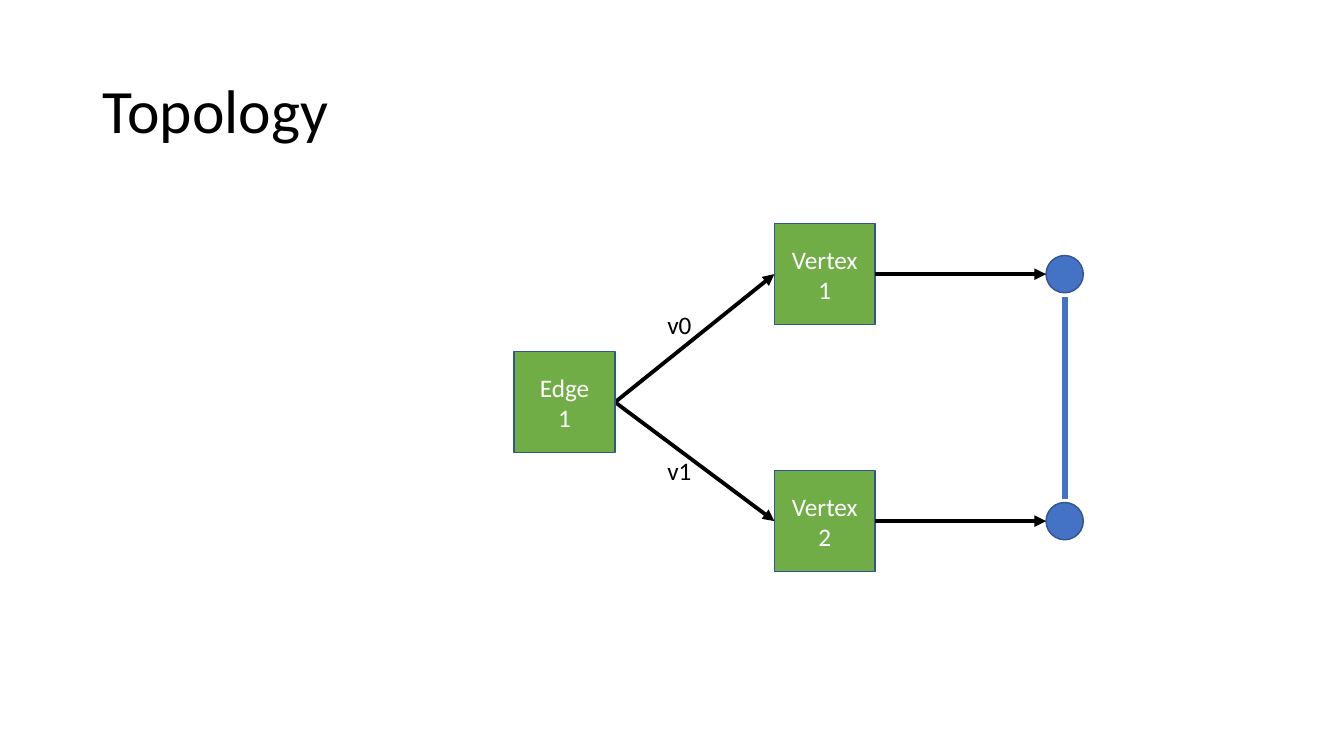
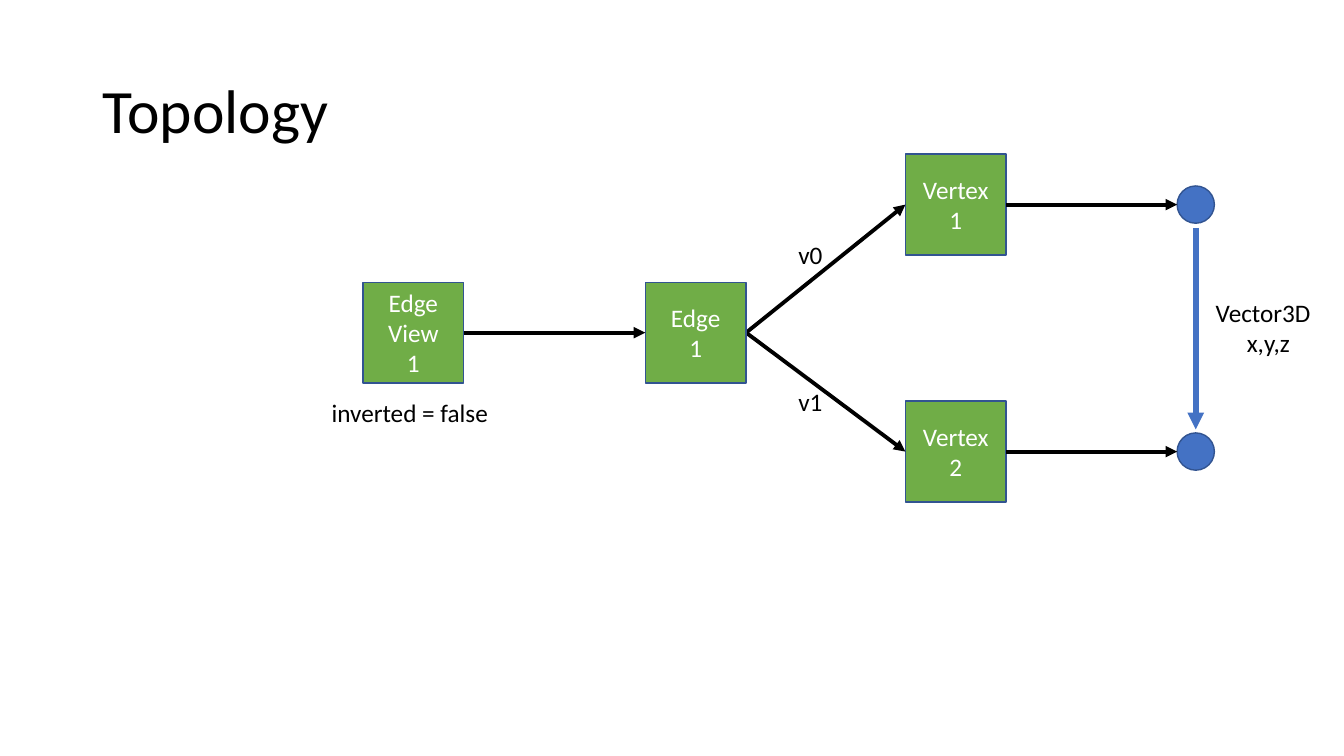
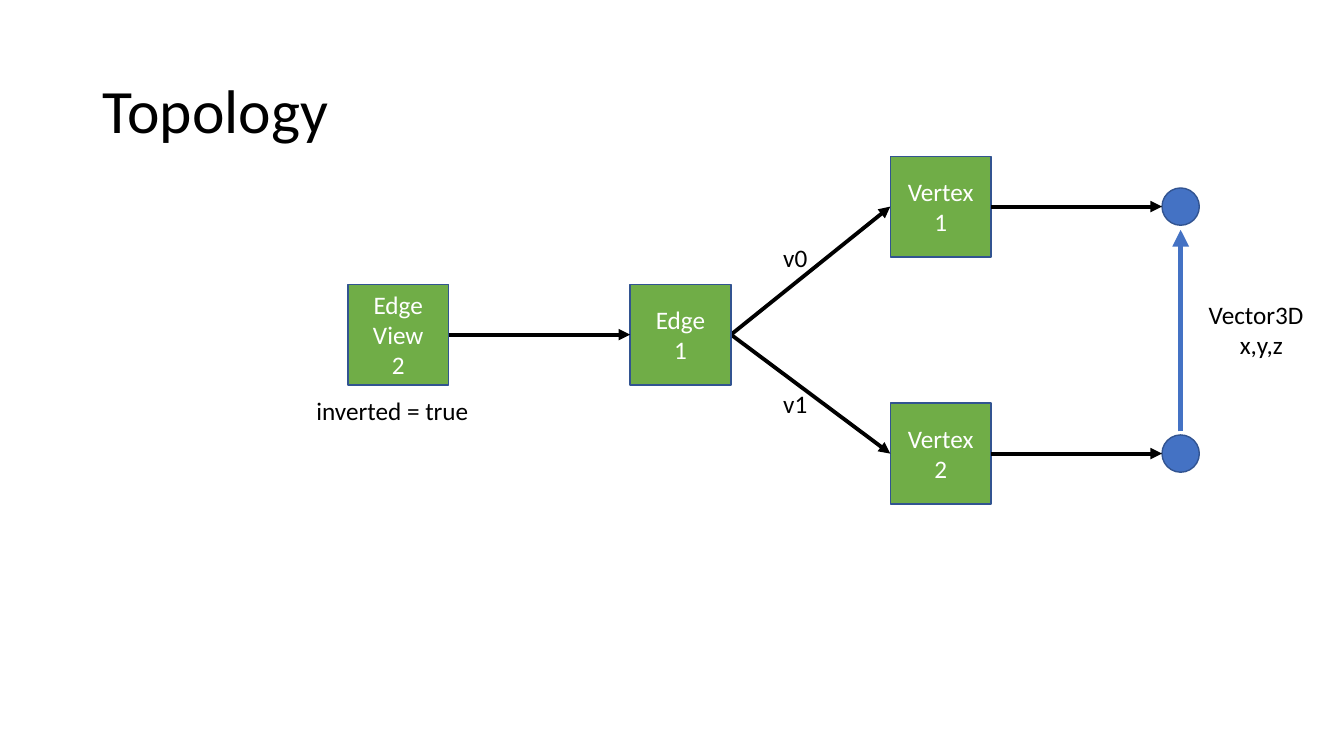
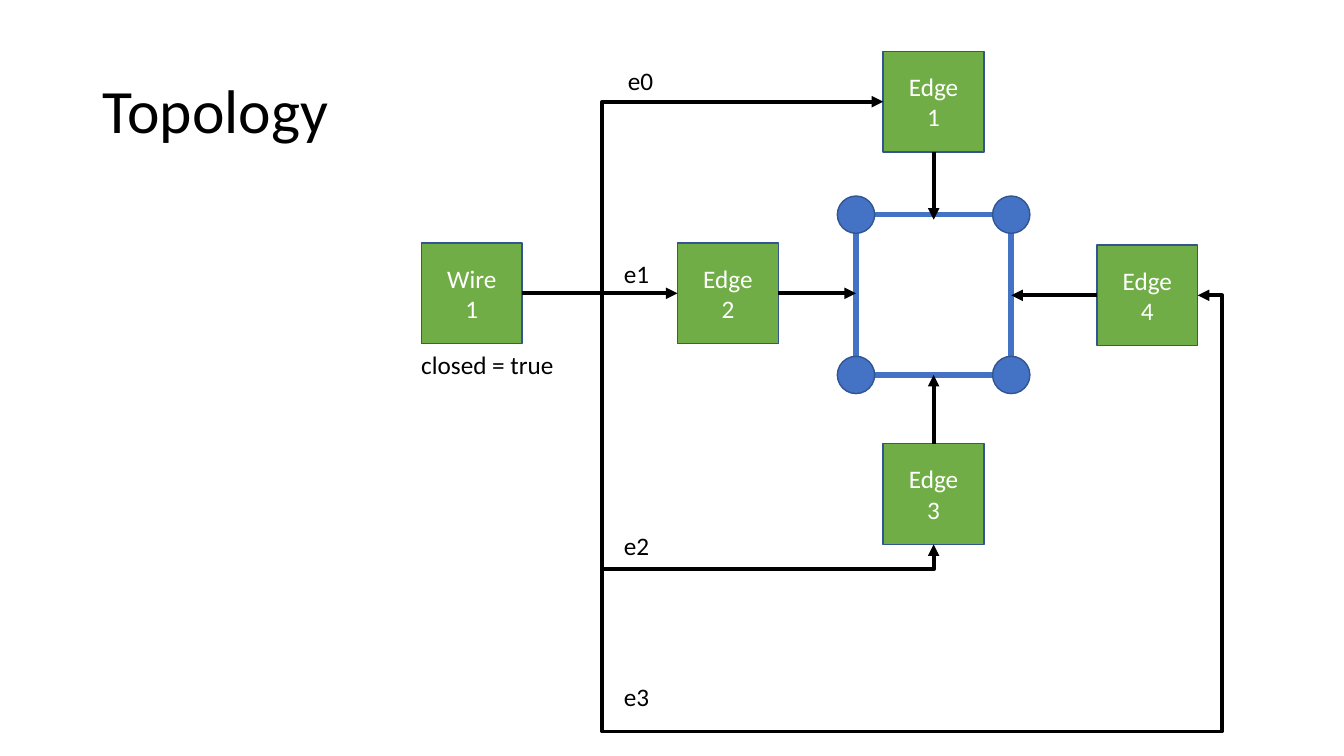
from lxml import etree
from pptx import Presentation
from pptx.dml.color import RGBColor
from pptx.enum.shapes import MSO_CONNECTOR, MSO_SHAPE
from pptx.enum.text import MSO_ANCHOR, PP_ALIGN
from pptx.oxml.ns import qn
from pptx.util import Inches, Pt

STRAIGHT, ELBOW = MSO_CONNECTOR.STRAIGHT, MSO_CONNECTOR.ELBOW
SQUARE, CIRCLE = MSO_SHAPE.RECTANGLE, MSO_SHAPE.OVAL
LEFT, CENTER = PP_ALIGN.LEFT, PP_ALIGN.CENTER
MIDDLE = MSO_ANCHOR.MIDDLE

BLACK = RGBColor(0x00, 0x00, 0x00)
WHITE = RGBColor(0xFF, 0xFF, 0xFF)
GREEN = RGBColor(0x70, 0xAD, 0x47)
BLUE = RGBColor(0x44, 0x72, 0xC4)
OUTLINE = RGBColor(0x32, 0x54, 0x91)
FONT = "Calibri"

# Lengths are in grid units: one node is one unit wide and high
NODE = 1
DOT = 0.37
LABEL_HEIGHT = 0.4
ARROW_WIDTH, EDGE_WIDTH = 2.75, 4
SITE_LEFT, SITE_BOTTOM, SITE_RIGHT = 1, 2, 3


def grid(*units):
    return [Inches(unit) for unit in units]


def style_paragraph(paragraph, size, color, align):
    paragraph.alignment = align
    paragraph.font.name = FONT
    paragraph.font.size = Pt(size)
    paragraph.font.color.rgb = color


# Shared parts
def add_titled_slide(prs, title):
    slide = prs.slides.add_slide(prs.slide_layouts[5])
    heading = slide.shapes.title
    heading.left, heading.top, heading.width, heading.height = grid(0.92, 0.4, 11.5, 1.45)
    heading.text_frame.text = title
    heading.text_frame.vertical_anchor = MIDDLE
    paragraph = heading.text_frame.paragraphs[0]
    style_paragraph(paragraph, 44, BLACK, LEFT)
    paragraph.line_spacing = 0.9
    return slide


def add_filled(slide, preset, x, y, size, color):
    shape = slide.shapes.add_shape(preset, *grid(x, y, size, size))
    shape.shadow.inherit = False
    shape.fill.solid()
    shape.fill.fore_color.rgb = color
    shape.line.color.rgb = OUTLINE
    shape.line.width = Pt(1)
    return shape


def add_node(slide, x, y, text):
    """Green square with one word to a line."""
    node = add_filled(slide, SQUARE, x, y, NODE, GREEN)
    frame = node.text_frame
    frame.text = "\n".join(text.split())
    frame.word_wrap = True
    frame.vertical_anchor = MIDDLE
    for paragraph in frame.paragraphs:
        style_paragraph(paragraph, 18, WHITE, CENTER)
    return node


def add_dot(slide, x, y):
    """Blue point centred on x, y."""
    add_filled(slide, CIRCLE, x - DOT / 2, y - DOT / 2, DOT, BLUE)


def add_label(slide, x, y, width, *lines):
    """Text whose first line is flush left and whose others are centred."""
    box = slide.shapes.add_textbox(*grid(x, y, width, LABEL_HEIGHT * len(lines)))
    frame = box.text_frame
    frame.word_wrap = True
    frame.text = "\n".join(lines)
    for index, paragraph in enumerate(frame.paragraphs):
        style_paragraph(paragraph, 18, BLACK, CENTER if index else LEFT)


def add_line(slide, start, end, color=BLACK, width=ARROW_WIDTH, arrow=True, kind=STRAIGHT):
    line = slide.shapes.add_connector(kind, *grid(*start, *end))
    line.line.color.rgb = color
    line.line.width = Pt(width)
    properties = line.element.spPr
    if arrow:
        etree.SubElement(properties.find(qn("a:ln")), qn("a:tailEnd"), type="triangle")
    etree.SubElement(properties, qn("a:effectLst"))
    return line


def add_bent_arrow(slide, source, target, site, start, end, turns):
    """Elbow arrow; turns holds the x, y, x... at which it bends."""
    arrow = add_line(slide, start, end, kind=ELBOW)
    arrow.begin_connect(source, SITE_RIGHT)
    arrow.end_connect(target, site)
    geometry = arrow.element.spPr.find(qn("a:prstGeom"))
    geometry.set("prst", f"bentConnector{len(turns) + 2}")
    guides = geometry.find(qn("a:avLst"))
    if guides is None:
        guides = etree.SubElement(geometry, qn("a:avLst"))
    for index, turn in enumerate(turns):
        axis = index % 2
        share = (turn - start[axis]) / (end[axis] - start[axis])
        etree.SubElement(guides, qn("a:gd"), name=f"adj{index + 1}",
                         fmla=f"val {round(share * 100000)}")


# Edge with two vertices and their points
def draw_edge(slide, x, y, direction=0):
    """Place the diagram from its edge node; direction is 1 down, -1 up, 0 none."""
    middle = y + NODE / 2
    vertex_x, dot_x = x + 2.58, x + 5.46
    for number, drop, label_drop in ((1, -1.27, -0.47), (2, 1.18, 0.98)):
        row = middle + drop
        add_node(slide, vertex_x, row - NODE / 2, f"Vertex {number}")
        add_dot(slide, dot_x, row)
        add_line(slide, (vertex_x + NODE, row), (dot_x - DOT / 2, row))
        add_line(slide, (x + NODE, middle), (vertex_x, row))
        add_label(slide, x + 1.42, y + label_drop, 0.46, f"v{number - 1}")
    add_node(slide, x, y, "Edge 1")
    ends = [(dot_x, y - 0.54), (dot_x, y + 1.46)]
    if direction < 0:
        ends.reverse()
    add_line(slide, *ends, BLUE, EDGE_WIDTH, arrow=direction != 0)


# Edge view, which adds a direction to an edge
def draw_edge_view(slide, x, y, number, inverted, caption_drop, vector_shift):
    edge_x, middle = x + 2.8, y + NODE / 2
    draw_edge(slide, edge_x, y, -1 if inverted else 1)
    add_node(slide, x, y, f"Edge View {number}")
    add_line(slide, (x + NODE, middle), (edge_x, middle))
    add_label(slide, x - 0.41, y + caption_drop, 2.24, f"inverted = {str(inverted).lower()}")
    add_label(slide, edge_x + vector_shift, y + 0.1, 1.24, "Vector3D", "x,y,z")


# Closed wire of four edges
def draw_wire(slide, x, y):
    """Place the diagram from its wire node."""
    middle, bus = y + NODE / 2, x + 1.79
    left, right, top, bottom = x + 4.31, x + 5.85, y - 0.28, y + 1.31
    center = (left + right) / 2
    edge_x = center - NODE / 2

    # Ring of points
    corners = [(left, top), (right, top), (right, bottom), (left, bottom)]
    for corner, following in zip(corners, corners[1:] + corners[:1]):
        add_line(slide, corner, following, BLUE, EDGE_WIDTH, arrow=False)
    for corner in corners:
        add_dot(slide, *corner)

    # Nodes
    wire = add_node(slide, x, y, "Wire 1")
    above = add_node(slide, edge_x, y - 1.9, "Edge 1")
    add_node(slide, x + 2.54, y, "Edge 2")
    below = add_node(slide, edge_x, y + 1.99, "Edge 3")
    beside = add_node(slide, x + 6.7, y + 0.02, "Edge 4")

    # Arrows from the edges to the ring
    add_line(slide, (center, y - 0.9), (center, top + 0.05))
    add_line(slide, (x + 3.54, middle), (left, middle))
    add_line(slide, (center, y + 1.99), (center, bottom))
    add_line(slide, (x + 6.7, middle + 0.02), (right, middle + 0.02))

    # Arrows from the wire to the edges
    start = (x + NODE, middle)
    add_line(slide, start, (x + 2.54, middle))
    for target, site, end, turns in (
        (above, SITE_LEFT, (edge_x, y - 1.4), [bus]),
        (below, SITE_BOTTOM, (center, y + 2.99), [bus, y + 3.24]),
        (beside, SITE_RIGHT, (x + 7.7, middle + 0.02), [bus, y + 4.83, x + 7.94]),
    ):
        add_bent_arrow(slide, wire, target, site, start, end, turns)

    # Labels
    for index, (shift, drop) in enumerate(((1.95, -1.81), (1.91, 0.1), (1.91, 2.8), (1.91, 4.3))):
        add_label(slide, x + shift, y + drop, 0.46, f"e{index}")
    add_label(slide, x - 0.1, y + 1.01, 2.24, "closed = true")


def main():
    prs = Presentation()
    prs.slide_width, prs.slide_height = grid(13.33, 7.5)
    for draw, place in (
        (draw_edge, (5.1, 3.49)),
        (draw_edge_view, (3.6, 2.8, 1, False, 1.09, 5.56)),
        (draw_edge_view, (3.45, 2.82, 2, True, 1.05, 5.64)),
        (draw_wire, (4.18, 2.41)),
    ):
        draw(add_titled_slide(prs, "Topology"), *place)
    prs.save("out.pptx")


if __name__ == "__main__":
    main()
